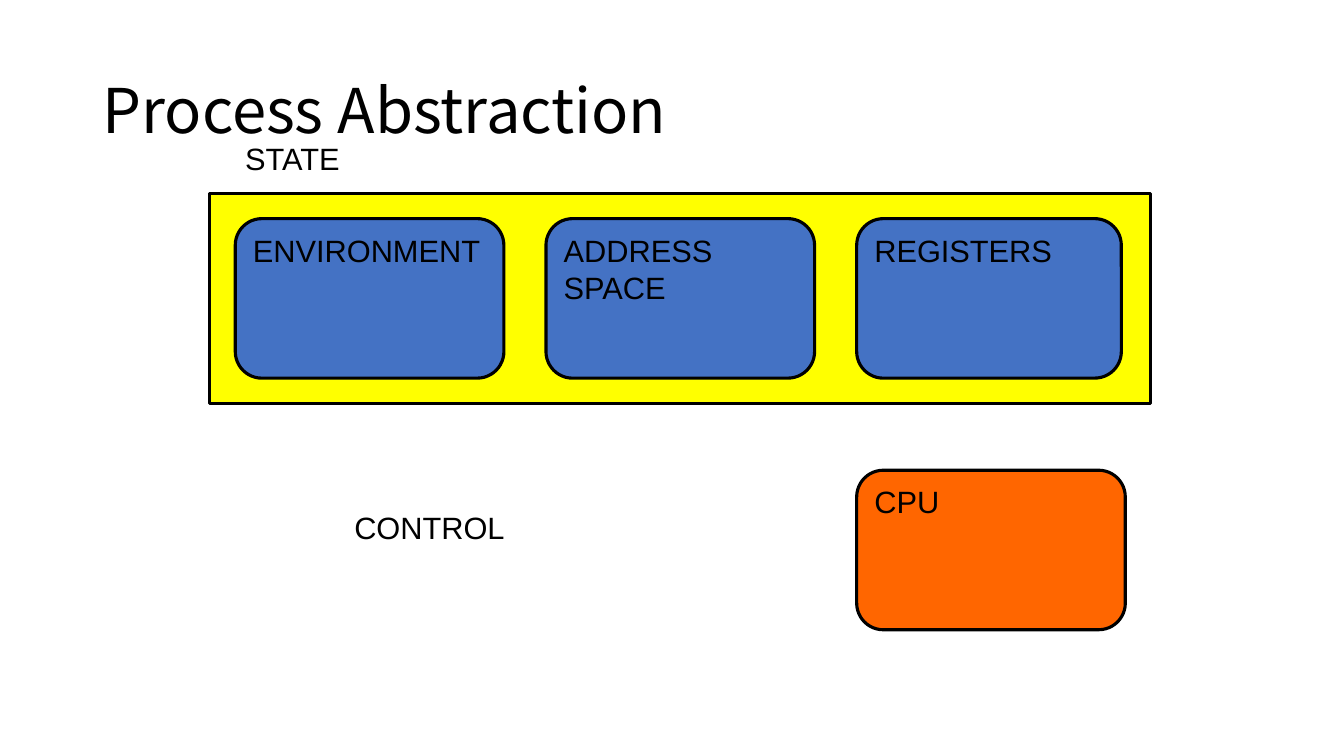
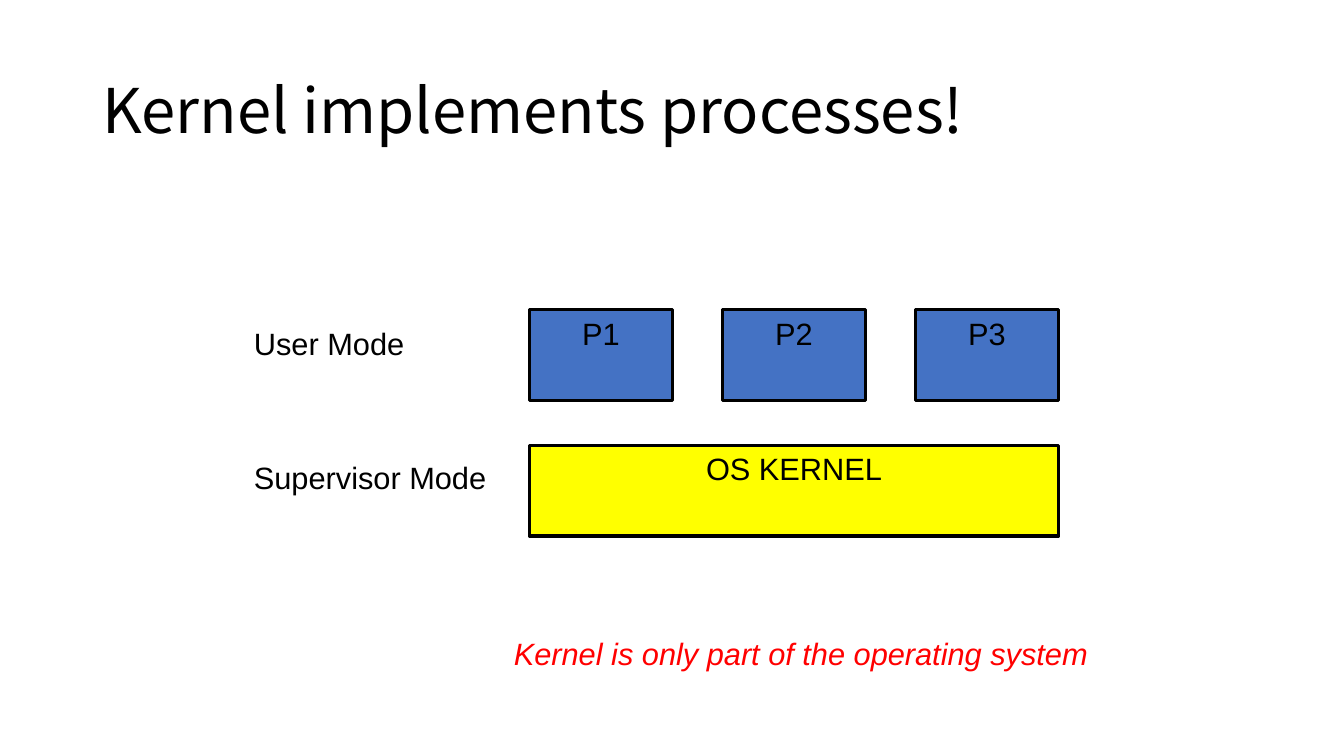
"""Build two slides on the process abstraction and the kernel."""
from typing import NamedTuple

from pptx import Presentation
from pptx.dml.color import RGBColor
from pptx.enum.shapes import MSO_SHAPE
from pptx.enum.text import MSO_ANCHOR, MSO_AUTO_SIZE, PP_ALIGN
from pptx.util import Cm, Pt

RECTANGLE, ROUNDED = MSO_SHAPE.RECTANGLE, MSO_SHAPE.ROUNDED_RECTANGLE
TOP, MIDDLE = MSO_ANCHOR.TOP, MSO_ANCHOR.MIDDLE
LEFT, CENTER = PP_ALIGN.LEFT, PP_ALIGN.CENTER
NO_FIT, GROW = MSO_AUTO_SIZE.NONE, MSO_AUTO_SIZE.SHAPE_TO_FIT_TEXT

BLACK, RED, YELLOW = "000000", "FF0000", "FFFF00"
BLUE, ORANGE = "4472C4", "FF6600"
TITLE_FONT, BODY_FONT = "Noto Sans CJK SC", "Arial"
TITLE_SIZE, BODY_SIZE = 44, 22
LABEL_HEIGHT = 1.19
CARD_WIDTH, CARD_HEIGHT = 6.77, 4.02


class Box(NamedTuple):
    """A rectangle in centimetres."""

    left: float
    top: float
    width: float
    height: float

    def lengths(self):
        """Return the four sides as slide lengths."""
        return [Cm(side) for side in self]


TITLE_BOX = Box(2.33, 1.02, 29.21, 3.68)


def rgb(hex_colour):
    """Turn a hex string into a colour."""
    return RGBColor.from_string(hex_colour)


def write(frame, text, font=BODY_FONT, size=BODY_SIZE, colour=BLACK,
          align=LEFT, anchor=TOP, italic=False):
    """Put styled text into a text frame."""
    frame.text = text
    frame.vertical_anchor = anchor
    for paragraph in frame.paragraphs:
        paragraph.alignment = align
        for run in paragraph.runs:
            run.font.name = font
            run.font.size = Pt(size)
            run.font.color.rgb = rgb(colour)
            run.font.italic = italic


def add_titled_slide(deck, title):
    """Add a title-only slide with the shared title style."""
    slide = deck.slides.add_slide(deck.slide_layouts[5])
    heading = slide.shapes.title
    heading.left, heading.top, heading.width, heading.height = TITLE_BOX.lengths()
    write(heading.text_frame, title, TITLE_FONT, TITLE_SIZE, anchor=MIDDLE)
    heading.text_frame.auto_size = NO_FIT
    heading.text_frame.paragraphs[0].line_spacing = 0.9
    return slide


def add_block(slide, box, fill, text="", outline=RECTANGLE, align=CENTER):
    """Add a filled block with a black border."""
    block = slide.shapes.add_shape(outline, *box.lengths())
    block.shadow.inherit = False
    block.fill.solid()
    block.fill.fore_color.rgb = rgb(fill)
    block.line.color.rgb = rgb(BLACK)
    block.line.width = Pt(2.25)
    if text:
        write(block.text_frame, text, align=align)


def add_card(slide, box, fill, text):
    """Add a rounded card with its name at the top left."""
    add_block(slide, box, fill, text, ROUNDED, LEFT)


def add_label(slide, left, top, width, text, colour=BLACK, italic=False):
    """Add a one-line label."""
    box = Box(left, top, width, LABEL_HEIGHT)
    frame = slide.shapes.add_textbox(*box.lengths()).text_frame
    frame.word_wrap = False
    frame.auto_size = GROW
    write(frame, text, colour=colour, italic=italic)


def add_state(slide, box):
    """Add the state panel, its label and its three cards."""
    inset, pitch = 0.64, 7.83
    add_block(slide, box, YELLOW)
    add_label(slide, box.left + inset, box.top - 1.48, 2.92, "STATE")
    cards = [("ENVIRONMENT", CARD_WIDTH), ("ADDRESS\nSPACE", CARD_WIDTH),
             ("REGISTERS", 6.67)]
    for column, (name, width) in enumerate(cards):
        card = Box(box.left + inset + column * pitch, box.top + inset,
                   width, CARD_HEIGHT)
        add_card(slide, card, BLUE, name)


def add_control(slide, box):
    """Add the control label and the CPU card at the right of the box."""
    add_label(slide, box.left, box.top + 0.85, 4.34, "CONTROL")
    cpu = Box(box.left + box.width - CARD_WIDTH, box.top, CARD_WIDTH, box.height)
    add_card(slide, cpu, ORANGE, "CPU")


def add_modes(slide, box):
    """Add the user processes above the kernel, with mode labels."""
    label_width, block_left = 6.45, box.left + 7.19
    stack_width, block_height = box.width - 7.19, 2.29
    process_width = 3.61
    processes = ["P1", "P2", "P3"]
    pitch = (stack_width - process_width) / (len(processes) - 1)
    kernel_top = box.top + box.height - block_height
    add_label(slide, box.left, box.top + 0.25, 4.34, "User Mode")
    for column, name in enumerate(processes):
        process = Box(block_left + column * pitch, box.top,
                      process_width, block_height)
        add_block(slide, process, BLUE, name)
    add_label(slide, box.left, kernel_top + 0.21, label_width, "Supervisor Mode")
    kernel = Box(block_left, kernel_top, stack_width, block_height)
    add_block(slide, kernel, YELLOW, "OS KERNEL")


def build_abstraction(deck):
    """Build the slide on state and control."""
    slide = add_titled_slide(deck, "Process Abstraction")
    add_state(slide, Box(5.29, 4.87, 23.71, 5.29))
    add_control(slide, Box(8.68, 11.85, 19.68, CARD_HEIGHT))


def build_kernel(deck):
    """Build the slide on the kernel and its processes."""
    slide = add_titled_slide(deck, "Kernel implements processes!")
    add_modes(slide, Box(6.15, 7.8, 20.53, 5.71))
    add_label(slide, 12.7, 15.88, 15.16,
              "Kernel is only part of the operating system", RED, italic=True)


def main():
    """Build and save the deck."""
    deck = Presentation()
    deck.slide_width, deck.slide_height = Cm(33.87), Cm(19.05)
    build_abstraction(deck)
    build_kernel(deck)
    deck.save("out.pptx")


main()
